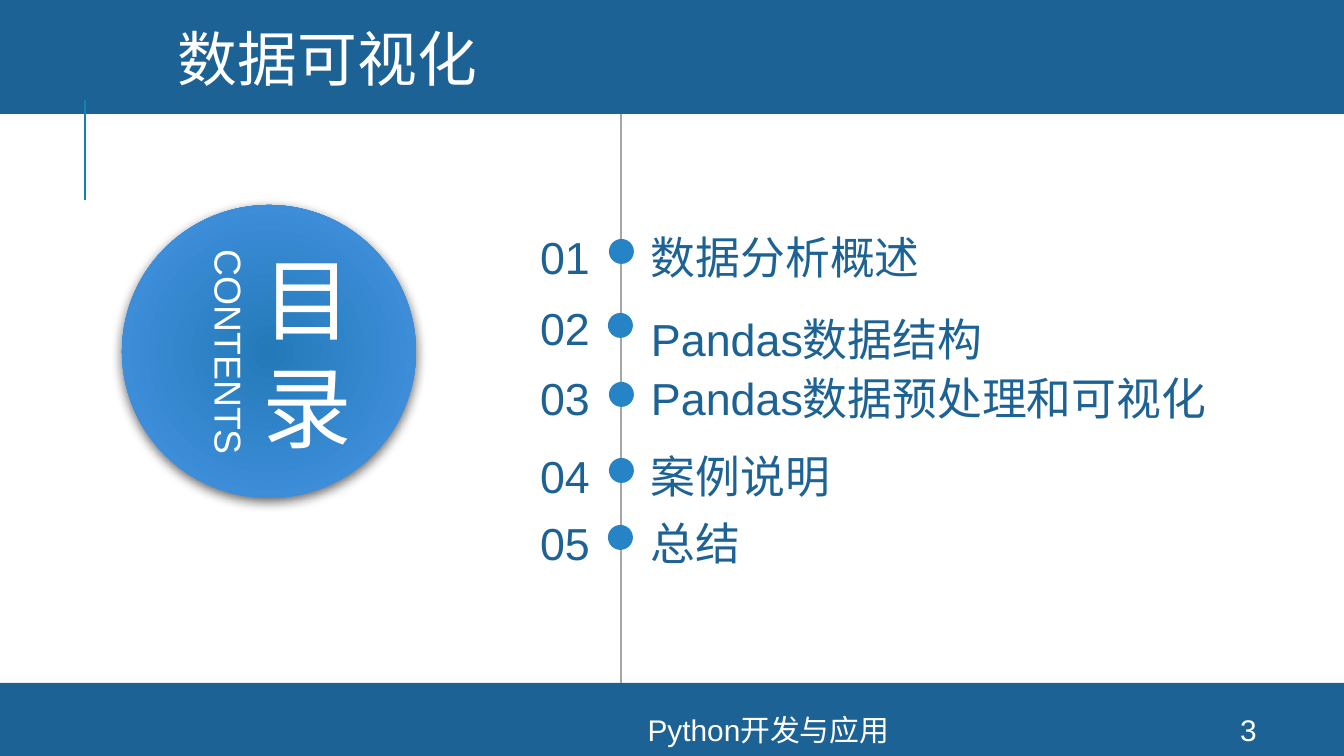
from lxml import etree
from pptx import Presentation
from pptx.dml.color import RGBColor
from pptx.enum.shapes import MSO_CONNECTOR, MSO_SHAPE
from pptx.enum.text import MSO_ANCHOR as ANCHOR, MSO_AUTO_SIZE, PP_ALIGN as ALIGN
from pptx.oxml import parse_xml
from pptx.oxml.ns import nsdecls, qn
from pptx.util import Emu, Pt

WHITE = RGBColor(0xFF, 0xFF, 0xFF)
NAVY = RGBColor(0x1D, 0x62, 0x94)
BLUE = RGBColor(0x26, 0x83, 0xC6)
TEAL = RGBColor(0x14, 0x82, 0xAC)
GRAY = RGBColor(0xA6, 0xA6, 0xA6)
PX = 914400 / 134.4


def px(*lengths):
    return [Emu(round(length * PX)) for length in lengths]


def write(box, text, size, color, align=ALIGN.LEFT, anchor=ANCHOR.TOP, font="Arial"):
    frame = box.text_frame
    frame.text = text
    frame.word_wrap = True
    frame.auto_size = MSO_AUTO_SIZE.NONE
    frame.vertical_anchor = anchor
    frame.margin_left = frame.margin_right = frame.margin_top = frame.margin_bottom = 0
    for paragraph in frame.paragraphs:
        paragraph.alignment = align
        for run in paragraph.runs:
            run.font.size = Pt(size)
            run.font.name = font
            run.font.color.rgb = color
            east_asian = etree.SubElement(run.font._element, qn("a:ea"))
            east_asian.set("typeface", "Noto Sans CJK SC")
    return frame


prs = Presentation()
prs.slide_width, prs.slide_height = px(1344, 756)
slide = prs.slides.add_slide(prs.slide_layouts[5])
shapes = slide.shapes

for top, height in [(-4, 118), (683, 73)]:
    band = shapes.add_shape(MSO_SHAPE.RECTANGLE, *px(0, top, 1344, height))
    band.shadow.inherit = False
    band.fill.solid()
    band.fill.fore_color.rgb = NAVY
    band.line.fill.background()

for x, top, bottom, color in [(85, 100, 200, TEAL), (621, 114, 683, GRAY)]:
    rule = shapes.add_connector(MSO_CONNECTOR.STRAIGHT, *px(x, top, x, bottom))
    rule.line.color.rgb = color
    rule.line.width = Pt(1.5)
    etree.SubElement(rule._element.spPr, qn("a:effectLst"))

title = shapes.title
title.left, title.top, title.width, title.height = px(178, 22, 340, 80)
write(title, "数据可视化", 32, WHITE, font="Noto Sans CJK SC")
title.element.getparent().append(title.element)

badge = shapes.add_shape(MSO_SHAPE.OVAL, *px(122, 205, 294, 293))
badge.line.fill.background()
badge.fill.background()
badge_props = badge._element.spPr
badge_props.replace(badge_props.find(qn("a:noFill")), parse_xml(
    f'<a:gradFill {nsdecls("a")} rotWithShape="1"><a:gsLst>'
    '<a:gs pos="0"><a:srgbClr val="237AB8"/></a:gs>'
    '<a:gs pos="100000"><a:srgbClr val="4895E7"/></a:gs></a:gsLst>'
    '<a:path path="circle"><a:fillToRect l="100000" t="100000" r="100000" b="100000"/>'
    '</a:path></a:gradFill>'))
badge_props.append(parse_xml(
    f'<a:effectLst {nsdecls("a")}><a:outerShdw blurRad="{Pt(6)}" dist="{Pt(2)}" '
    'dir="5400000" algn="t" rotWithShape="0"><a:srgbClr val="000000">'
    '<a:alpha val="60000"/></a:srgbClr></a:outerShdw></a:effectLst>'))

heading = shapes.add_textbox(*px(212, 216, 190, 272))
heading_frame = write(heading, "目\n录", 48, WHITE, ALIGN.CENTER, ANCHOR.MIDDLE)
for paragraph in heading_frame.paragraphs:
    paragraph.runs[0].font._element.set("spc", "600")

subheading = shapes.add_textbox(*px(87, 329, 284, 46))
subheading.rotation = 90
write(subheading, "CONTENTS", 20, WHITE, ALIGN.CENTER)

for left, width, text in [(351, 835, "Python开发与应用"), (1195, 107, "3")]:
    footer = shapes.add_textbox(*px(left, 714, width, 31))
    write(footer, text, 16, WHITE, ALIGN.CENTER, ANCHOR.MIDDLE)

topics = [
    (230, 239, 609, "数据分析概述", 1),
    (301, 313, 608, "Pandas数据结构", 1.2),
    (371, 382, 609, "Pandas数据预处理和可视化", 1),
    (449, 458, 609, "案例说明", 1),
    (516, 525, 608, "总结", 1),
]
for number, (top, dot_top, dot_left, topic, spacing) in enumerate(topics, 1):
    dot = shapes.add_shape(MSO_SHAPE.OVAL, *px(dot_left, dot_top, 25, 25))
    dot.shadow.inherit = False
    dot.fill.solid()
    dot.fill.fore_color.rgb = BLUE
    dot.line.fill.background()
    number_box = shapes.add_textbox(*px(510, top, 80, 54))
    write(number_box, f"{number:02}", 24, NAVY, ALIGN.RIGHT)
    topic_box = shapes.add_textbox(*px(651, top, 580, 54))
    topic_frame = write(topic_box, topic, 24, NAVY)
    topic_frame.paragraphs[0].line_spacing = spacing

prs.save("out.pptx")
